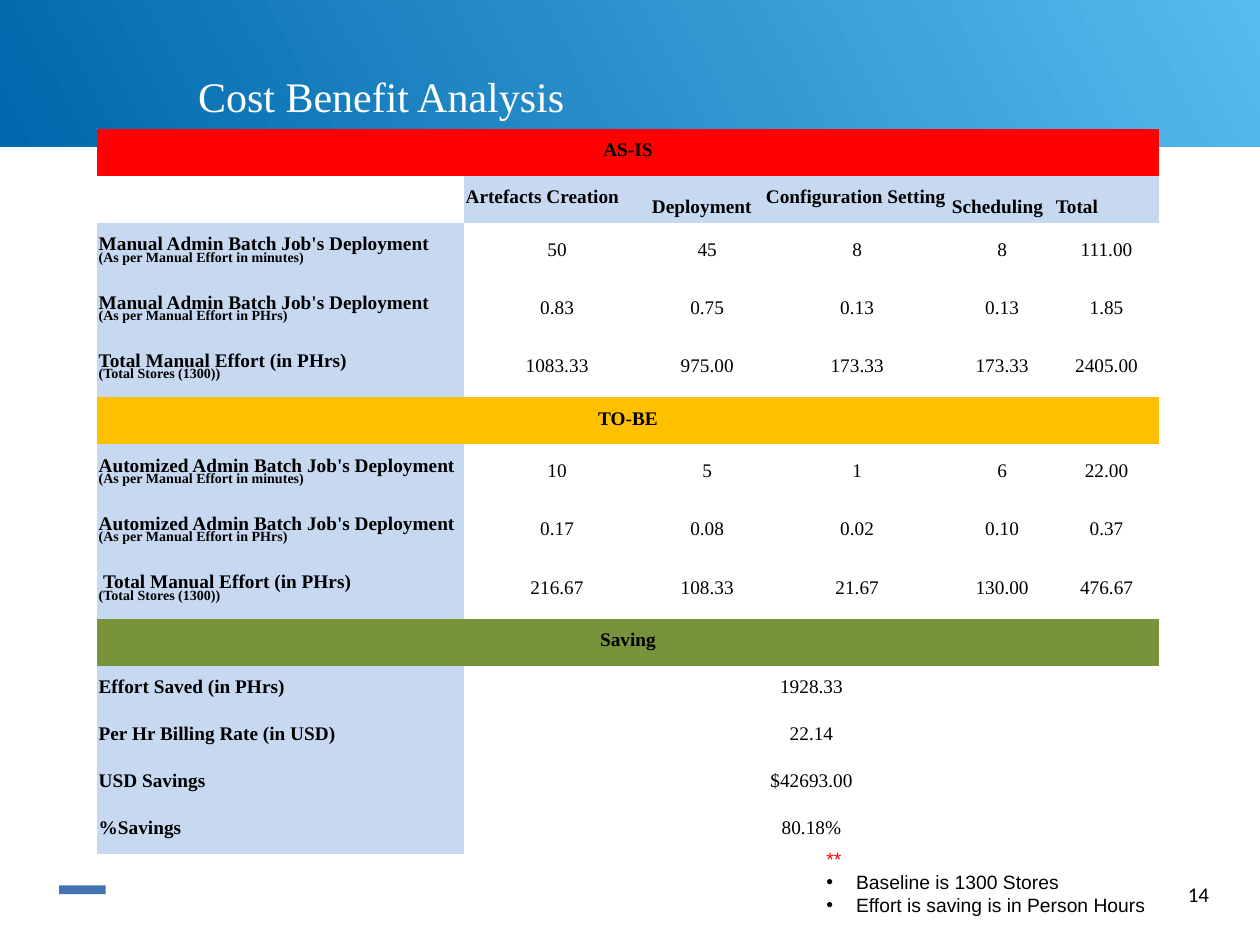
from dataclasses import dataclass

from pptx import Presentation
from pptx import util as u
from pptx.dml.color import RGBColor
from pptx.enum import shapes, text


@dataclass(frozen=True)
class Theme:
    """Colours, fonts and type sizes of the deck."""

    white: str = "FFFFFF"
    ink: str = "000000"
    alert: str = "FF0000"
    amber: str = "FFC000"
    green: str = "77933C"
    label: str = "C6D9F1"
    mark: str = "4473B1"
    band_light: str = "56BBED"
    band_dark: str = "0067AC"
    serif: str = "Times New Roman"
    sans: str = "Arial"
    number_face: str = "Calibri"
    title: int = 24
    number: int = 12
    normal: int = 11
    small: int = 8


COLUMNS = [209.7, 106.5, 65.1, 106.3, 59.4, 60]
SHORT_ROW, TALL_ROW = 26.86, 33.26
HEADINGS = ["Artefacts Creation", "Deployment", "Configuration Setting", "Scheduling", "Total"]
RAISED = {"Artefacts Creation", "Configuration Setting"}
AS_IS = [
    ("Manual Admin Batch Job's Deployment", "(As per Manual Effort in minutes)",
     ["50", "45", "8", "8", "111.00"]),
    ("Manual Admin Batch Job's Deployment", "(As per Manual Effort in PHrs)",
     ["0.83", "0.75", "0.13", "0.13", "1.85"]),
    ("Total Manual Effort (in PHrs)", "(Total Stores (1300))",
     ["1083.33", "975.00", "173.33", "173.33", "2405.00"]),
]
TO_BE = [
    ("Automized Admin Batch Job's Deployment ", "(As per Manual Effort in minutes)",
     ["10", "5", "1", "6", "22.00"]),
    ("Automized Admin Batch Job's Deployment ", "(As per Manual Effort in PHrs)",
     ["0.17", "0.08", "0.02", "0.10", "0.37"]),
    (" Total Manual Effort (in PHrs)", "(Total Stores (1300))",
     ["216.67", "108.33", "21.67", "130.00", "476.67"]),
]
SAVING = [
    ("Effort Saved (in PHrs)", "", ["1928.33"]),
    ("Per Hr Billing Rate (in USD)", "", ["22.14"]),
    ("USD Savings", "", ["$42693.00"]),
    ("%Savings", "", ["80.18%"]),
]


class Painter:
    """Draws styled elements on the current slide."""

    def __init__(self, page, theme):
        self.page = page
        self.theme = theme

    def place(self, box, left, top, width, height):
        box.left, box.top = u.Pt(left), u.Pt(top)
        box.width, box.height = u.Pt(width), u.Pt(height)

    def style(self, para, face, size, colour, bold=False, align=text.PP_ALIGN.LEFT):
        para.alignment = align
        font = para.font
        font.name, font.size, font.bold = face, u.Pt(size), bold
        font.color.rgb = RGBColor.from_string(colour)

    def panel(self, left, top, width, height, colour):
        box = self.page.shapes.add_shape(
            shapes.MSO_SHAPE.RECTANGLE, u.Pt(left), u.Pt(top), u.Pt(width), u.Pt(height))
        box.shadow.inherit = False
        box.line.fill.background()
        box.fill.solid()
        box.fill.fore_color.rgb = RGBColor.from_string(colour)
        return box

    def band(self, height):
        box = self.panel(0, 0, 720, height, self.theme.band_dark)
        box.fill.gradient()
        box.fill.gradient_angle = 208
        colours = (self.theme.band_light, self.theme.band_dark)
        for stop, colour, position in zip(box.fill.gradient_stops, colours, (0, 1)):
            stop.color.rgb = RGBColor.from_string(colour)
            stop.position = position
        self.page.shapes.title.element.addprevious(box.element)

    def title(self, words, *bounds):
        box = self.page.shapes.title
        self.place(box, *bounds)
        frame = box.text_frame
        frame.text = words
        frame.vertical_anchor = text.MSO_ANCHOR.TOP
        frame.auto_size = text.MSO_AUTO_SIZE.NONE
        self.style(frame.paragraphs[0], self.theme.serif, self.theme.title, self.theme.white)

    def notes(self, marker, items, *bounds):
        box = self.page.placeholders[1]
        self.place(box, *bounds)
        frame = box.text_frame
        frame.text = "\n".join([marker, *items])
        frame.auto_size = text.MSO_AUTO_SIZE.NONE
        for index, para in enumerate(frame.paragraphs):
            self.style(para, self.theme.sans, self.theme.normal,
                       self.theme.ink if index else self.theme.alert)
            para.space_before = u.Pt(0)
            indent = u.Pt(17 if index else 0)
            layout = para._p.get_or_add_pPr()
            layout.set("marL", str(indent))
            layout.set("indent", str(-indent))
            if not index:
                bullet = layout.makeelement(
                    "{http://schemas.openxmlformats.org/drawingml/2006/main}buNone")
                layout.find("{*}defRPr").addprevious(bullet)

    def page_number(self, words, left, top, width, height):
        box = self.page.shapes.add_textbox(u.Pt(left), u.Pt(top), u.Pt(width), u.Pt(height))
        frame = box.text_frame
        frame.word_wrap = True
        frame.vertical_anchor = text.MSO_ANCHOR.MIDDLE
        frame.text = words
        self.style(frame.paragraphs[0], self.theme.number_face, self.theme.number,
                   self.theme.ink, align=text.PP_ALIGN.RIGHT)

    def cell(self, cell, words="", detail="", fill=None, bold=False,
             align=text.PP_ALIGN.LEFT, anchor=text.MSO_ANCHOR.MIDDLE):
        cell.margin_left = cell.margin_right = u.Pt(1)
        cell.vertical_anchor = anchor
        if fill:
            cell.fill.solid()
            cell.fill.fore_color.rgb = RGBColor.from_string(fill)
        else:
            cell.fill.background()
        para = cell.text_frame.paragraphs[0]
        self.style(para, self.theme.serif, self.theme.normal, self.theme.ink, bold, align)
        para.line_spacing = 0.67
        if words:
            para.add_run().text = words
        if detail:
            para.add_line_break()
            span = para.add_run()
            span.text = detail
            span.font.size = u.Pt(self.theme.small)

    def table(self, left, top, sections):
        heights = [SHORT_ROW]
        for _, _, rows in sections:
            heights += [SHORT_ROW] + [TALL_ROW if detail else SHORT_ROW for _, detail, _ in rows]
        frame = self.page.shapes.add_table(
            len(heights), len(COLUMNS), u.Pt(left), u.Pt(top),
            u.Pt(sum(COLUMNS)), u.Pt(sum(heights)))
        grid = frame.table
        grid.first_row = grid.horz_banding = False
        for style_id in frame.element.iter("{*}tableStyleId"):
            style_id.text = "{2D5ABB26-0587-4C30-8999-92F81FD0307C}"
        for column, width in zip(grid.columns, COLUMNS):
            column.width = u.Pt(width)
        for row, height in zip(grid.rows, heights):
            row.height = u.Pt(height)

        last = len(COLUMNS) - 1
        lines = iter(range(len(heights)))
        for position, (name, colour, rows) in enumerate(sections):
            line = next(lines)
            grid.cell(line, 0).merge(grid.cell(line, last))
            self.cell(grid.cell(line, 0), name, fill=colour, bold=True, align=text.PP_ALIGN.CENTER)
            if position == 0:
                self.headings(grid, next(lines))
            for label, detail, values in rows:
                line = next(lines)
                self.cell(grid.cell(line, 0), label, detail, self.theme.label, True)
                if len(values) == 1:
                    grid.cell(line, 1).merge(grid.cell(line, last))
                for column, value in enumerate(values, 1):
                    self.cell(grid.cell(line, column), value, align=text.PP_ALIGN.CENTER)

    def headings(self, grid, line):
        self.cell(grid.cell(line, 0))
        for column, words in enumerate(HEADINGS, 1):
            anchor = text.MSO_ANCHOR.MIDDLE if words in RAISED else text.MSO_ANCHOR.BOTTOM
            self.cell(grid.cell(line, column), words, fill=self.theme.label, bold=True,
                      anchor=anchor)


def main():
    deck = Presentation()
    deck.slide_width, deck.slide_height = u.Pt(720), u.Pt(540)
    theme = Theme()
    painter = Painter(deck.slides.add_slide(deck.slide_layouts[1]), theme)
    painter.band(84)
    painter.panel(33.8, 506, 26.6, 5, theme.mark)
    painter.page_number("14", 648, 497, 50, 28)
    painter.title("Cost Benefit Analysis", 106, 36.7, 225.4, 36)
    painter.notes("**", ["Baseline is 1300 Stores", "Effort is saving is in Person Hours"],
                  465, 480.3, 216, 46.8)
    painter.table(55.4, 73.6, [("AS-IS", theme.alert, AS_IS), ("TO-BE", theme.amber, TO_BE),
                               ("Saving", theme.green, SAVING)])
    deck.save("out.pptx")


if __name__ == "__main__":
    main()
